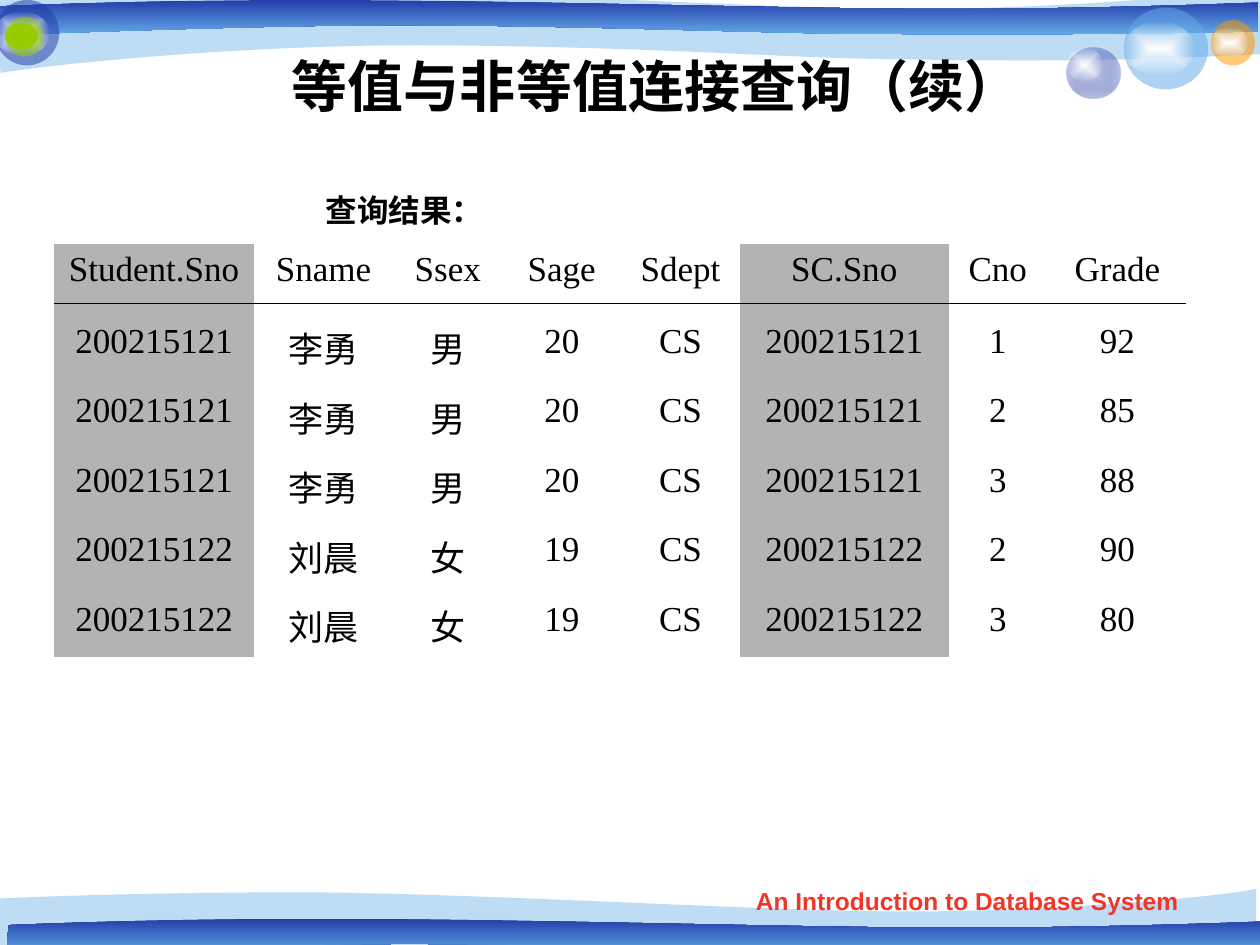
"""Build the slide showing the result of an equi-join query."""
from dataclasses import dataclass
from typing import NamedTuple, Optional, Union

from lxml.etree import SubElement
from pptx import Presentation
from pptx.dml.color import RGBColor
from pptx.enum.shapes import MSO_CONNECTOR, MSO_SHAPE
from pptx.enum.text import MSO_ANCHOR, PP_ALIGN
from pptx.oxml.ns import qn
from pptx.util import Pt

BLACK = RGBColor(0x00, 0x00, 0x00)
WHITE = RGBColor(0xFF, 0xFF, 0xFF)
OFF_WHITE = RGBColor(0xFE, 0xFE, 0xFE)
NAVY = RGBColor(0x23, 0x3D, 0xA9)
SKY = RGBColor(0x65, 0xAA, 0xE9)
LAVENDER = RGBColor(0xC6, 0xCC, 0xE8)
ORANGE = RGBColor(0xFF, 0x99, 0x00)
GREEN = RGBColor(0x99, 0xCC, 0x00)
RED = RGBColor(0xF0, 0x36, 0x28)
GRAY = RGBColor(0xB3, 0xB3, 0xB3)

NO_STYLE = "{2D5ABB26-0587-4C30-8999-92F81FD0307C}"


class Paint(NamedTuple):
    color: RGBColor
    opacity: int = 100


class Gradient(NamedTuple):
    start: Paint
    end: Paint
    radial: bool = True


Fill = Union[Paint, Gradient]


class Disc(NamedTuple):
    left: float
    top: float
    width: float
    height: float
    fill: Fill


class Bubble(NamedTuple):
    body: Disc
    glow: Disc


class Band(NamedTuple):
    segments: list
    dx: float
    dy: float
    fill: Fill


@dataclass
class Label:
    text: str
    left: float
    top: float
    width: float
    height: float
    font: str
    size: float
    color: RGBColor = BLACK
    wrap: bool = True
    anchor: MSO_ANCHOR = MSO_ANCHOR.TOP


SHINE = Gradient(Paint(WHITE), Paint(OFF_WHITE, 0))
DEEP = Gradient(Paint(NAVY), Paint(SKY), radial=False)
PALE = Paint(SKY, 41)

PALE_WAVE = [
    [(0, -2.2)],
    [(17.3, -2.9), (77, -5.8), (177.8, -5.8)],
    [(277.9, -5), (414, 3.6), (503.3, 5)],
    [(591.8, 6.5), (705.6, -3.6), (720, -7.9)],
    [(720, 31)],
    [(617.8, 36), (566.6, 34.6), (507.6, 33.8)],
    [(447.8, 33.1), (370.8, 26.6), (247, 25.9)],
    [(123.8, 25.2), (2.9, 40.3), (0.7, 41.8)],
    [(-0.7, 43.2), (0, 5), (0, -2.2)],
]
DEEP_WAVE = [
    [(-0.7, 3.6)],
    [(0.7, 3.6), (77.8, 0), (177.1, 0)],
    [(277.2, 0), (427.7, 4.3), (515.5, 5)],
    [(604.1, 5.8), (701.3, 2.2), (718.6, 1.4)],
    [(718.6, 18)],
    [(612.7, 20.2), (550.1, 19.4), (489.6, 19.4)],
    [(429.8, 18.7), (320.4, 14.4), (226.8, 14.4)],
    [(144.7, 14.4), (-2.9, 20.2), (-2.2, 20.2)],
    [(-1.4, 20.2), (-1.4, 3.6), (-0.7, 3.6)],
]

BACKDROP = [
    Band(PALE_WAVE, 0, 0, PALE),
    Band(DEEP_WAVE, 0, 0, DEEP),
    Bubble(Disc(609.8, 27.4, 30.2, 28.8, Gradient(Paint(LAVENDER), Paint(NAVY, 31))),
           Disc(609.8, 27.4, 20.2, 19.4, SHINE)),
    Bubble(Disc(642.2, 4.3, 48.2, 46.8, Paint(SKY, 53)),
           Disc(642.2, 12.2, 40.3, 31, SHINE)),
    Bubble(Disc(-2.9, 0, 36.7, 37.4, Paint(NAVY, 53)),
           Disc(-2.9, 6.5, 31, 25.2, SHINE)),
    Band(PALE_WAVE, -2.2, 515.7, PALE),
    Band(DEEP_WAVE, 5.8, 525, DEEP),
    Bubble(Disc(691.9, 11.5, 25.2, 25.9, Paint(ORANGE, 53)),
           Disc(691.9, 15.8, 21.6, 17.3, SHINE)),
    Bubble(Disc(2.9, 9.4, 22.3, 23, Paint(GREEN, 53)),
           Disc(2.9, 13, 18.7, 15.1, Paint(GREEN))),
]

TITLE = Label("等值与非等值连接查询（续）", 84.2, 26.3, 581.8, 44.6, "Arial", 32,
              anchor=MSO_ANCHOR.MIDDLE)
CAPTION = Label("查询结果：", 151.9, 105.8, 158.4, 28.8, "Times New Roman", 18, wrap=False)
FOOTER = Label("An Introduction to Database System", 411, 502.6, 283.7, 25.2,
               "Arial", 14, RED)

HEADER = ["Student.Sno", "Sname", "Ssex", "Sage", "Sdept", "SC.Sno", "Cno", "Grade"]
LI = ["200215121", "李勇", "男", "20", "CS", "200215121"]
LIU = ["200215122", "刘晨", "女", "19", "CS", "200215122"]
ROWS = [HEADER, LI + ["1", "92"], LI + ["2", "85"], LI + ["3", "88"],
        LIU + ["2", "90"], LIU + ["3", "80"]]
COL_WIDTHS = [114.2, 79.4, 62.6, 67.7, 68, 119.2, 56.2, 80.6]
ROW_HEIGHTS = [41] + [39.7] * 4 + [36]
TABLE_LEFT, TABLE_TOP, RULE_Y, RULE_RIGHT = 31, 139.5, 173.5, 677.5


def add_color(parent, paint: Paint) -> None:
    color = SubElement(parent, qn("a:srgbClr"), val=str(paint.color))
    if paint.opacity < 100:
        SubElement(color, qn("a:alpha"), val=str(paint.opacity * 1000))


def paint_shape(sp, fill: Fill) -> None:
    sp.shadow.inherit = False
    sp.line.fill.background()
    if isinstance(fill, Paint):
        sp.fill.solid()
        add_color(sp._element.spPr.find(qn("a:solidFill")), fill)
        return
    sp.fill.gradient()
    grad = sp._element.spPr.find(qn("a:gradFill"))
    for child in list(grad):
        grad.remove(child)
    stops = SubElement(grad, qn("a:gsLst"))
    for pos, paint in (("0", fill.start), ("100000", fill.end)):
        add_color(SubElement(stops, qn("a:gs"), pos=pos), paint)
    if fill.radial:
        focus = SubElement(grad, qn("a:path"), path="rect")
        SubElement(focus, qn("a:fillToRect"), l="50000", t="50000", r="50000", b="50000")
    else:
        SubElement(grad, qn("a:lin"), ang="5400000", scaled="1")


def add_band(s, band: Band) -> None:
    points = [(Pt(x + band.dx), Pt(y + band.dy)) for seg in band.segments for x, y in seg]
    builder = s.shapes.build_freeform(*points[0])
    builder.add_line_segments(points[1:])
    sp = builder.convert_to_shape()
    lines = iter(list(sp._element.iter(qn("a:lnTo"))))
    for seg in band.segments[1:]:
        first, *others = [next(lines) for _ in seg]
        if others:
            first.tag = qn("a:cubicBezTo")
        for line in others:
            first.append(line[0])
            line.getparent().remove(line)
    paint_shape(sp, band.fill)


def add_bubble(s, bubble: Bubble) -> None:
    group = s.shapes.add_group_shape()
    for disc in bubble:
        sp = group.shapes.add_shape(MSO_SHAPE.OVAL, *(Pt(v) for v in disc[:4]))
        paint_shape(sp, disc.fill)


def write(tf, text: str, font: str, size: float, color: RGBColor, bold: bool) -> None:
    p = tf.paragraphs[0]
    p.alignment = PP_ALIGN.CENTER
    r = p.add_run()
    r.text = text
    r.font.name, r.font.size, r.font.bold = font, Pt(size), bold
    r.font.color.rgb = color


def add_label(s, label: Label) -> None:
    tf = s.shapes.add_textbox(Pt(label.left), Pt(label.top),
                              Pt(label.width), Pt(label.height)).text_frame
    tf.word_wrap, tf.vertical_anchor = label.wrap, label.anchor
    write(tf, label.text, label.font, label.size, label.color, True)


def fill_cell(cell, text: str, shade: Optional[RGBColor]) -> None:
    if shade is None:
        cell.fill.background()
    else:
        cell.fill.solid()
        cell.fill.fore_color.rgb = shade
    write(cell.text_frame, text, "Times New Roman", 20, BLACK, False)


def add_result_table(s) -> None:
    frame = s.shapes.add_table(len(ROWS), len(HEADER), Pt(TABLE_LEFT), Pt(TABLE_TOP),
                               Pt(sum(COL_WIDTHS)), Pt(sum(ROW_HEIGHTS)))
    table = frame.table
    table.first_row = table.horz_banding = False
    table._tbl.tblPr.find(qn("a:tableStyleId")).text = NO_STYLE
    for column, width in zip(table.columns, COL_WIDTHS):
        column.width = Pt(width)
    for row, height, texts in zip(table.rows, ROW_HEIGHTS, ROWS):
        row.height = Pt(height)
        for cell, name, text in zip(row.cells, HEADER, texts):
            fill_cell(cell, text, GRAY if name.endswith(".Sno") else None)


def add_header_rule(s) -> None:
    rule = s.shapes.add_connector(MSO_CONNECTOR.STRAIGHT, Pt(TABLE_LEFT), Pt(RULE_Y),
                                  Pt(RULE_RIGHT), Pt(RULE_Y))
    rule.line.color.rgb, rule.line.width = BLACK, Pt(0.75)
    SubElement(rule._element.spPr, qn("a:effectLst"))


def main() -> None:
    prs = Presentation()
    prs.slide_width, prs.slide_height = Pt(720), Pt(540)
    s = prs.slides.add_slide(prs.slide_layouts[6])
    for item in BACKDROP:
        (add_band if isinstance(item, Band) else add_bubble)(s, item)
    add_label(s, TITLE)
    add_result_table(s)
    add_label(s, CAPTION)
    add_header_rule(s)
    add_label(s, FOOTER)
    prs.save("out.pptx")


if __name__ == "__main__":
    main()
